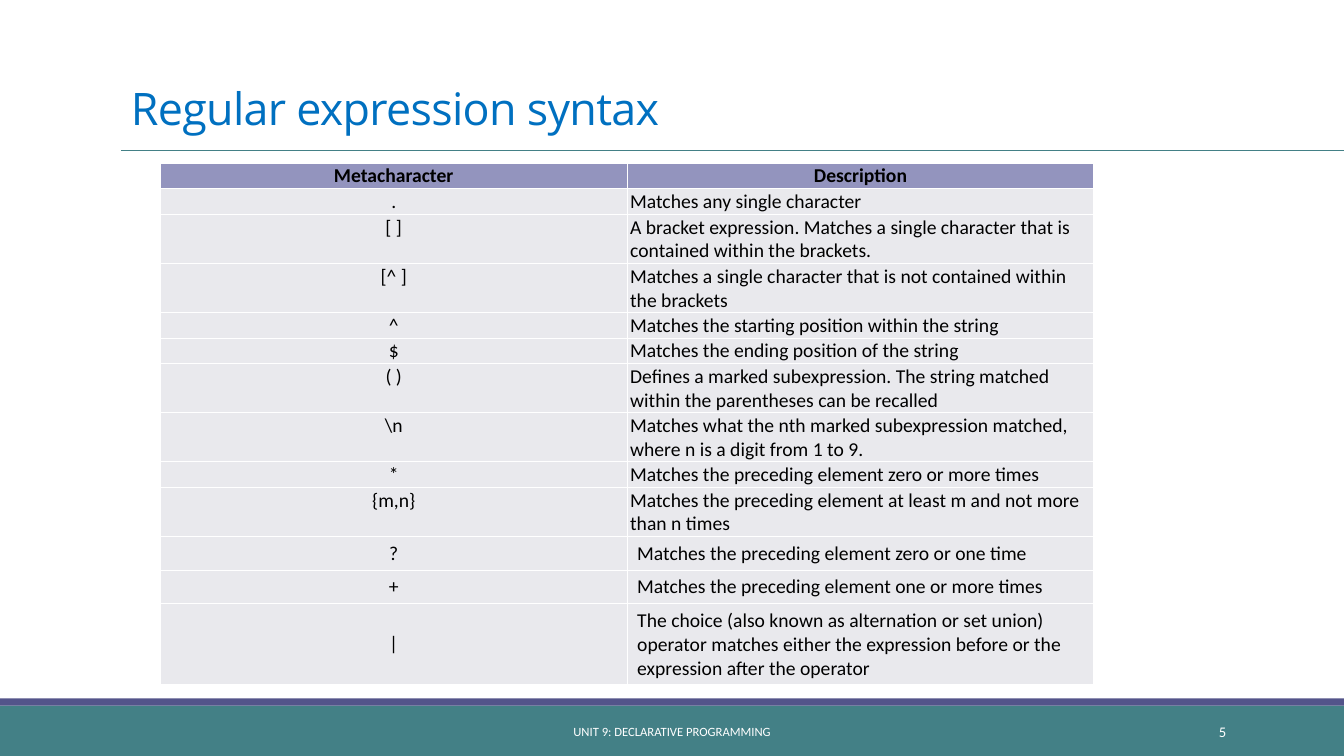
from lxml.etree import SubElement
from pptx import Presentation
from pptx.dml.color import RGBColor
from pptx.enum.shapes import MSO_CONNECTOR, MSO_SHAPE
from pptx.enum.text import MSO_ANCHOR as ANCHOR, PP_ALIGN as ALIGN
from pptx.oxml.ns import qn
from pptx.util import Inches, Pt

TITLE = "Regular expression syntax"
FOOTER = "UNIT 9: DECLARATIVE PROGRAMMING"
PAGE = "5"
TIGHT, LOOSE = (0.03, 0.01), (0.1, 0.05)  # cell margins: side, top and bottom
# metacharacter, description, lines of text, margins, anchor
ROWS = [
    ("Metacharacter", "Description", 1, TIGHT, ANCHOR.MIDDLE),
    (".", "Matches any single character", 1, TIGHT, ANCHOR.TOP),
    ("[ ]", "A bracket expression. Matches a single character that is "
     "contained within the brackets.", 2, TIGHT, ANCHOR.TOP),
    ("[^ ]", "Matches a single character that is not contained within "
     "the brackets", 2, TIGHT, ANCHOR.TOP),
    ("^", "Matches the starting position within the string", 1, TIGHT, ANCHOR.TOP),
    ("$", "Matches the ending position of the string", 1, TIGHT, ANCHOR.TOP),
    ("( )", "Defines a marked subexpression. The string matched within "
     "the parentheses can be recalled", 2, TIGHT, ANCHOR.TOP),
    (r"\n", "Matches what the nth marked subexpression matched, "
     "where n is a digit from 1 to 9.", 2, TIGHT, ANCHOR.TOP),
    ("*", "Matches the preceding element zero or more times", 1, TIGHT, ANCHOR.TOP),
    ("{m,n}", "Matches the preceding element at least m and not more "
     "than n times", 2, TIGHT, ANCHOR.TOP),
    ("?", "Matches the preceding element zero or one time", 1, LOOSE, ANCHOR.TOP),
    ("+", "Matches the preceding element one or more times", 1, LOOSE, ANCHOR.MIDDLE),
    ("|", "The choice (also known as alternation or set union) operator "
     "matches either the expression before or the expression after the "
     "operator", 3, LOOSE, ANCHOR.MIDDLE),
]
COLORS = {"teal": "438086", "purple": "53548A", "title": "0070C0",
          "header": "9394BE", "body": "E9E9ED", "text": "000000", "white": "FFFFFF"}
W, H = 13.33, 7.5
MARGIN = 1.2
LINE_H = 0.22
COL_W = 4.63

prs = Presentation()
prs.slide_width, prs.slide_height = Inches(W), Inches(H)
slide = prs.slides.add_slide(prs.slide_layouts[6])
shapes = slide.shapes


def color(name):
    return RGBColor.from_string(COLORS[name])


def style(p, font, size, fill, align, bold=False):
    p.alignment = align
    for r in p.runs:
        r.font.name, r.font.size, r.font.bold = font, Pt(size), bold
        r.font.color.rgb = color(fill)


def add_text(text, box, font, size, fill, align, anchor):
    tf = shapes.add_textbox(*map(Inches, box)).text_frame
    tf.word_wrap, tf.vertical_anchor = True, anchor
    tf.text = text
    style(tf.paragraphs[0], font, size, fill, align)
    return tf.paragraphs[0]


def add_borders(cell):
    tc_pr = cell._tc.get_or_add_tcPr()
    for i, side in enumerate(("a:lnL", "a:lnR", "a:lnT", "a:lnB")):
        ln = tc_pr.makeelement(qn(side), {"w": str(Pt(1))})
        fill = SubElement(ln, qn("a:solidFill"))
        SubElement(fill, qn("a:srgbClr"), val=COLORS["white"])
        tc_pr.insert(i, ln)  # borders come before the cell fill


# Footer bands
for top, height, fill in ((7, 0.5, "teal"), (6.93, 0.07, "purple")):
    sp = shapes.add_shape(MSO_SHAPE.RECTANGLE, 0, Inches(top), prs.slide_width, Inches(height))
    sp.shadow.inherit = False
    sp.fill.solid()
    sp.fill.fore_color.rgb = color(fill)
    sp.line.fill.background()

# Title and the rule below it
rule = shapes.add_connector(MSO_CONNECTOR.STRAIGHT, Inches(MARGIN), Inches(1.49),
                            prs.slide_width, Inches(1.49))
rule.line.color.rgb, rule.line.width = color("teal"), Pt(0.5)
SubElement(rule._element.spPr, qn("a:effectLst"))
p = add_text(TITLE, (MARGIN, 0.31, 11, 1.08), "Open Sans", 32, "title", ALIGN.LEFT, ANCHOR.BOTTOM)
p.line_spacing = 0.85
p.runs[0].font._element.set("spc", "-50")

# Table of metacharacters
heights = [lines * LINE_H + 2 * pad for _, _, lines, (_, pad), _ in ROWS]
table = shapes.add_table(len(ROWS), 2, Inches(1.59), Inches(1.62),
                         Inches(2 * COL_W), Inches(sum(heights))).table
for col in table.columns:
    col.width = Inches(COL_W)
for i, (symbol, description, _, (side, pad), anchor) in enumerate(ROWS):
    table.rows[i].height = Inches(heights[i])
    for j, text in enumerate((symbol, description)):
        cell = table.cell(i, j)
        cell.text = text
        cell.margin_left = cell.margin_right = Inches(side)
        cell.margin_top = cell.margin_bottom = Inches(pad)
        cell.vertical_anchor = anchor
        cell.fill.solid()
        cell.fill.fore_color.rgb = color("body" if i else "header")
        add_borders(cell)
        align = ALIGN.LEFT if i and j else ALIGN.CENTER
        style(cell.text_frame.paragraphs[0], "Calibri", 14, "text", align, bold=i == 0)

# Footer text and page number
add_text(FOOTER, (4.03, 7.06, 5.27, 0.4), "Calibri", 9, "white", ALIGN.CENTER, ANCHOR.MIDDLE)
add_text(PAGE, (10.83, 7.06, 1.43, 0.4), "Calibri", 10.5, "white", ALIGN.RIGHT, ANCHOR.MIDDLE)

prs.save("out.pptx")
